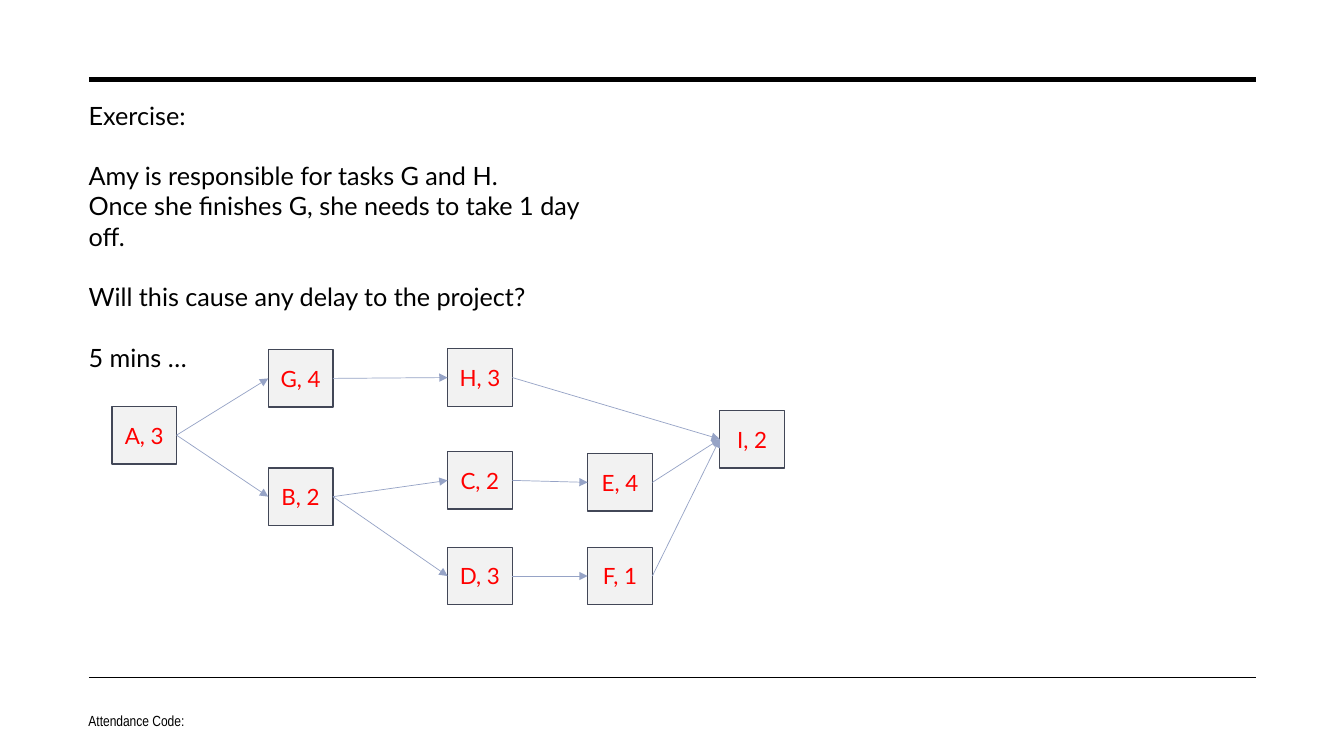
"""Build the exercise slide with its task network."""
from dataclasses import dataclass

from pptx import Presentation, util as u
from pptx.dml.color import RGBColor
from pptx.enum import shapes, text
from pptx.oxml.ns import qn
from lxml import etree


@dataclass(frozen=True)
class Theme:
    """Colours, fonts and type sizes of the slide."""
    ink: str = "000000"
    box_fill: str = "F2F2F2"
    box_line: str = "424757"
    box_text: str = "FF0000"
    arrow: str = "96A3C6"
    font: str = "Lato"
    footer_font: str = "Arial Narrow"
    body_size: float = 18
    box_size: float = 16
    footer_size: float = 10.5


class Deck:
    """Holds the theme and the current slide and draws on it."""

    LEFT, RIGHT = 1, 3

    def __init__(self, theme):
        """Start a widescreen slide that keeps only its body placeholder."""
        self.theme = theme
        self.prs = Presentation()
        self.prs.slide_width, self.prs.slide_height = u.Cm(33.87), u.Cm(19.05)
        self.s = self.prs.slides.add_slide(self.prs.slide_layouts[1])
        title = self.s.shapes.title.element
        title.getparent().remove(title)

    def run(self, p, words, size, font, color):
        """Add one styled run to a paragraph."""
        r = p.add_run()
        r.text = words
        r.font.size, r.font.name = u.Pt(size), font
        r.font.color.rgb = RGBColor.from_string(color)

    def line(self, x1, y1, x2, y2, color, width):
        """Draw a straight line without a shadow."""
        c = self.s.shapes.add_connector(
            shapes.MSO_CONNECTOR.STRAIGHT, *map(u.Cm, (x1, y1, x2, y2)))
        c.line.color.rgb = RGBColor.from_string(color)
        c.line.width = u.Pt(width)
        etree.SubElement(c.element.spPr, qn("a:effectLst"))
        return c

    def body(self, x, y, w, h, groups):
        """Fill the body placeholder, with one line of space between groups."""
        t = self.theme
        sp = self.s.placeholders[1]
        sp.left, sp.top, sp.width, sp.height = map(u.Cm, (x, y, w, h))
        tf = sp.text_frame
        tf.word_wrap, tf.auto_size = True, text.MSO_AUTO_SIZE.NONE
        p = tf.paragraphs[0]
        for g, group in enumerate(groups):
            for i, words in enumerate(group):
                if g or i:
                    p = tf.add_paragraph()
                pPr = p._p.get_or_add_pPr()
                pPr.set("marL", "0")
                pPr.set("indent", "0")
                etree.SubElement(pPr, qn("a:buNone"))
                p.space_before = u.Pt(1.2 * t.body_size if g and not i else 0)
                self.run(p, words, t.body_size, t.font, t.ink)

    def footer(self, x, y, w, h, words):
        """Add the small footer text."""
        t = self.theme
        tf = self.s.shapes.add_textbox(*map(u.Cm, (x, y, w, h))).text_frame
        tf.word_wrap = True
        tf.vertical_anchor = text.MSO_ANCHOR.MIDDLE
        self.run(tf.paragraphs[0], words, t.footer_size, t.footer_font, t.ink)

    def task(self, x, y, words):
        """Add a task box."""
        t = self.theme
        sp = self.s.shapes.add_shape(
            shapes.MSO_SHAPE.RECTANGLE, *map(u.Cm, (x, y, 1.63, 1.45)))
        sp.shadow.inherit = False
        sp.fill.solid()
        sp.fill.fore_color.rgb = RGBColor.from_string(t.box_fill)
        sp.line.color.rgb = RGBColor.from_string(t.box_line)
        sp.line.width = u.Pt(1)
        tf = sp.text_frame
        tf.word_wrap = False
        tf.vertical_anchor = text.MSO_ANCHOR.MIDDLE
        p = tf.paragraphs[0]
        p.alignment = text.PP_ALIGN.CENTER
        self.run(p, words, t.box_size, t.font, t.box_text)
        return sp

    def arrow(self, start, end):
        """Join the right side of one task to the left side of the next."""
        c = self.line(0, 0, 0, 0, self.theme.arrow, 0.5)
        c.begin_connect(start, self.RIGHT)
        c.end_connect(end, self.LEFT)
        ln = c.element.spPr.find(qn("a:ln"))
        etree.SubElement(ln, qn("a:tailEnd"), type="triangle")


TEXT = [
    ["Exercise:"],
    ["Amy is responsible for tasks G and H.",
     "Once she finishes G, she needs to take 1 day off."],
    ["Will this cause any delay to the project?"],
    ["5 mins …"],
]
COLUMNS = [2.82, 6.76, 11.28, 14.81, 18.14]
TASKS = {
    "A": (3, 0, 10.24), "G": (4, 1, 8.81), "B": (2, 1, 11.79),
    "H": (3, 2, 8.79), "D": (3, 2, 13.79), "C": (2, 2, 11.38),
    "E": (4, 3, 11.43), "F": (1, 3, 13.79), "I": (2, 4, 10.34),
}
LINKS = ["AG", "AB", "GH", "BC", "BD", "CE", "DF", "HI", "EI", "FI"]


def main():
    """Draw the slide and save it."""
    deck = Deck(Theme())
    for y, width in ((2.01, 3.5), (17.07, 1)):
        deck.line(2.24, y, 31.65, y, deck.theme.ink, width)
    deck.footer(1.98, 17.65, 12.6, 1.02, "Attendance Code:")
    deck.body(1.98, 2.39, 13.67, 6.4, TEXT)
    boxes = {name: deck.task(COLUMNS[col], y, f"{name}, {days}")
             for name, (days, col, y) in TASKS.items()}
    for start, end in LINKS:
        deck.arrow(boxes[start], boxes[end])
    deck.prs.save("out.pptx")


if __name__ == "__main__":
    main()
